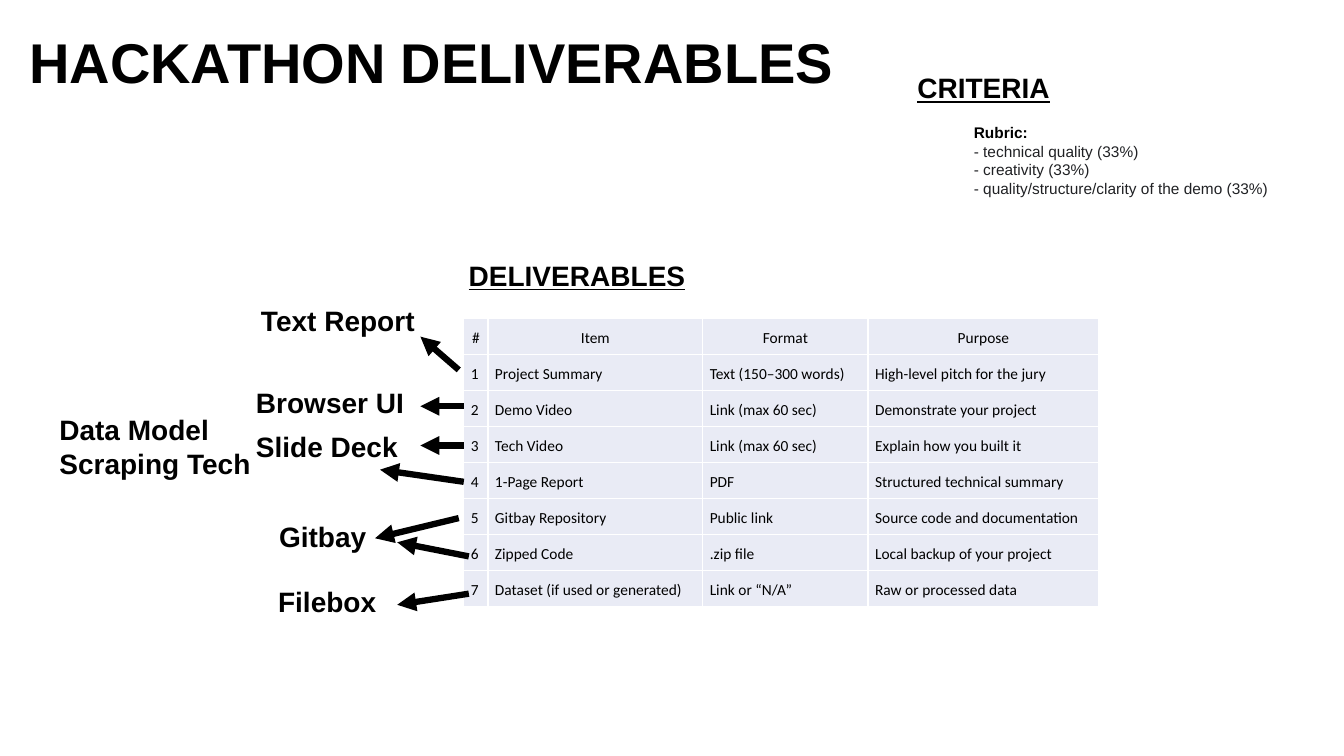
from typing import NamedTuple

from lxml import etree
from pptx import Presentation
from pptx import util as u
from pptx.dml.color import RGBColor
from pptx.enum import shapes, text
from pptx.oxml.ns import qn

BLACK, GRAY, WHITE, PALE = "000000", "202124", "FFFFFF", "E9EBF5"


class Line(NamedTuple):
    words: str
    color: str = BLACK
    bold: bool = True


class Label(NamedTuple):
    left: float
    top: float
    width: float
    height: float
    lines: list[Line]
    size: int = 20
    underline: bool = False


class Arrow(NamedTuple):
    start: tuple[float, float]
    end: tuple[float, float]


TITLE = Label(0.19, 0.22, 8.26, 0.72, [Line("HACKATHON DELIVERABLES")], 40)
LABELS = [
    Label(9.56, 1.17, 3.51, 0.79, [
        Line("Rubric:"),
        Line("- technical quality (33%)", GRAY, False),
        Line("- creativity (33%)", GRAY, False),
        Line("- quality/structure/clarity of the demo (33%)", GRAY, False),
    ], 11),
    Label(9, 0.65, 1.53, 0.39, [Line("CRITERIA")], underline=True),
    Label(4.55, 2.51, 2.37, 0.39, [Line("DELIVERABLES")], underline=True),
    Label(2.49, 2.96, 1.9, 0.39, [Line("Text Report")]),
    Label(2.44, 3.77, 1.68, 0.39, [Line("Browser UI")]),
    Label(2.44, 4.21, 1.73, 0.39, [Line("Slide Deck")]),
    Label(2.67, 5.1, 1.1, 0.39, [Line("Gitbay")]),
    Label(2.66, 5.75, 1.29, 0.39, [Line("Filebox")]),
    Label(0.49, 4.04, 2.11, 0.72, [Line("Data Model"), Line("Scraping Tech")]),
]
ARROWS = [
    Arrow((4.55, 3.67), (4.17, 3.34)),
    Arrow((4.6, 4.03), (4.17, 4.03)),
    Arrow((4.6, 4.42), (4.17, 4.42)),
    Arrow((4.6, 4.78), (3.77, 4.66)),
    Arrow((4.55, 5.14), (3.72, 5.34)),
    Arrow((4.65, 5.52), (3.94, 5.38)),
    Arrow((4.65, 5.89), (3.94, 6)),
]
COLUMNS = {"#": 0.24, "Item": 2.13, "Format": 1.64, "Purpose": 2.29}
DELIVERABLES = [
    ("Project Summary", "Text (150–300 words)", "High-level pitch for the jury"),
    ("Demo Video", "Link (max 60 sec)", "Demonstrate your project"),
    ("Tech Video", "Link (max 60 sec)", "Explain how you built it"),
    ("1-Page Report", "PDF", "Structured technical summary"),
    ("Gitbay Repository", "Public link", "Source code and documentation"),
    ("Zipped Code", ".zip file", "Local backup of your project"),
    ("Dataset (if used or generated)", "Link or “N/A”", "Raw or processed data"),
]


def rgb(color: str) -> RGBColor:
    return RGBColor.from_string(color)


def add_run(paragraph, line: Line, size: int, name: str = "Arial", underline: bool = False) -> None:
    run = paragraph.add_run()
    run.text = line.words
    run.font.name = name
    run.font.size = u.Pt(size)
    run.font.bold = line.bold
    run.font.underline = underline
    run.font.color.rgb = rgb(line.color)


def fill_label(shape, label: Label) -> None:
    shape.left, shape.top = u.Inches(label.left), u.Inches(label.top)
    shape.width, shape.height = u.Inches(label.width), u.Inches(label.height)
    frame = shape.text_frame
    frame.word_wrap = False
    frame.auto_size = text.MSO_AUTO_SIZE.SHAPE_TO_FIT_TEXT
    frame.vertical_anchor = text.MSO_ANCHOR.MIDDLE
    frame.margin_left = frame.margin_right = u.Inches(0.1)
    frame.margin_top, frame.margin_bottom = u.Inches(0.05), 0
    for index, line in enumerate(label.lines):
        paragraph = frame.add_paragraph() if index else frame.paragraphs[0]
        paragraph.alignment = text.PP_ALIGN.LEFT
        paragraph.line_spacing = 1.0
        add_run(paragraph, line, label.size, underline=label.underline)


def add_arrow(slide, arrow: Arrow) -> None:
    ends = [u.Inches(value) for value in (*arrow.start, *arrow.end)]
    connector = slide.shapes.add_connector(shapes.MSO_CONNECTOR.STRAIGHT, *ends)
    connector.line.color.rgb = rgb(BLACK)
    connector.line.width = u.Pt(4.5)
    etree.SubElement(connector.line._get_or_add_ln(), qn("a:tailEnd"), type="triangle")
    etree.SubElement(connector._element.spPr, qn("a:effectLst"))


def add_borders(cell) -> None:
    properties = cell._tc.get_or_add_tcPr()
    for index, side in enumerate(("lnL", "lnR", "lnT", "lnB")):
        border = etree.Element(qn(f"a:{side}"), w=str(u.Pt(1)))
        fill = etree.SubElement(border, qn("a:solidFill"))
        etree.SubElement(fill, qn("a:srgbClr"), val=WHITE)
        properties.insert(index, border)


def fill_cell(cell, words: str, centered: bool) -> None:
    cell.margin_left = cell.margin_right = u.Inches(0.07)
    cell.margin_top = cell.margin_bottom = u.Inches(0.07)
    cell.fill.solid()
    cell.fill.fore_color.rgb = rgb(PALE)
    add_borders(cell)
    paragraph = cell.text_frame.paragraphs[0]
    paragraph.alignment = text.PP_ALIGN.CENTER if centered else text.PP_ALIGN.LEFT
    paragraph.line_spacing = 1.15
    add_run(paragraph, Line(words, bold=False), 11, "Calibri")


def add_deliverables(slide) -> None:
    rows = [tuple(COLUMNS)]
    rows += [(str(number), *row) for number, row in enumerate(DELIVERABLES, 1)]
    frame = slide.shapes.add_table(
        len(rows), len(COLUMNS), u.Inches(4.6), u.Inches(3.16), u.Inches(6.3), u.Inches(2.86))
    table = frame.table
    table.first_row = table.horz_banding = False
    for column, width in zip(table.columns, COLUMNS.values()):
        column.width = u.Inches(width)
    for row_index, row in enumerate(rows):
        for column_index, words in enumerate(row):
            fill_cell(table.cell(row_index, column_index), words, row_index == 0)


def main() -> None:
    """Build the hackathon deliverables slide."""
    presentation = Presentation()
    presentation.slide_width, presentation.slide_height = u.Inches(13.33), u.Inches(7.5)
    slide = presentation.slides.add_slide(presentation.slide_layouts[5])
    fill_label(slide.shapes.title, TITLE)
    add_deliverables(slide)
    for label in LABELS:
        fill_label(slide.shapes.add_textbox(0, 0, 0, 0), label)
    for arrow in ARROWS:
        add_arrow(slide, arrow)
    presentation.save("out.pptx")


if __name__ == "__main__":
    main()
